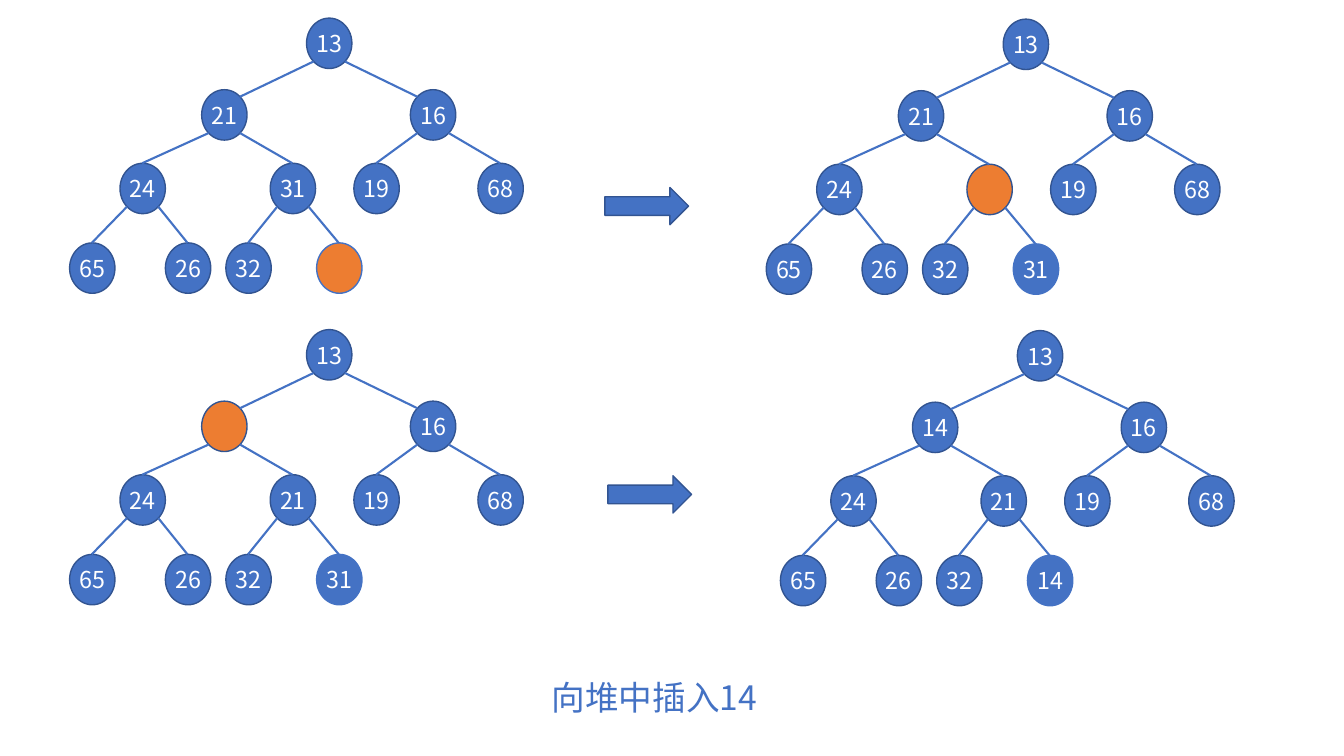
from dataclasses import dataclass

import lxml.etree
import pptx
import pptx.dml.color
import pptx.enum.shapes
import pptx.enum.text
import pptx.oxml.ns
import pptx.shapes.autoshape
import pptx.slide
import pptx.text.text
import pptx.util

PX = 9144  # EMU per px, 100 px to the inch
BLUE = pptx.dml.color.RGBColor(0x44, 0x72, 0xC4)
DARK_BLUE = pptx.dml.color.RGBColor(0x32, 0x54, 0x91)
ORANGE = pptx.dml.color.RGBColor(0xED, 0x7D, 0x31)
WHITE = pptx.dml.color.RGBColor(0xFF, 0xFF, 0xFF)
FONT = "Noto Sans CJK SC"
SHAPES = pptx.enum.shapes.MSO_SHAPE

NODE_WIDTH, NODE_HEIGHT = 45, 50
# Inset of an ellipse's diagonal points from its bounding box
DIAGONAL = 7
# Node positions relative to the root, in heap order
NODE_OFFSETS = [
    (0, 0),
    (-104, 71), (103, 71),
    (-185, 144), (-36, 144), (47, 144), (170, 144),
    (-235, 223), (-140, 223), (-80, 223), (10, 223),
]


@dataclass(frozen=True)
class Heap:
    left: int
    top: int
    values: list[int | None]  # None marks the hole


@dataclass(frozen=True)
class StepArrow:
    left: int
    top: int


HEAPS = [
    Heap(304, 18, [13, 21, 16, 24, 31, 19, 68, 65, 26, 32, None]),
    Heap(995, 19, [13, 21, 16, 24, None, 19, 68, 65, 26, 32, 31]),
    Heap(304, 327, [13, None, 16, 24, 21, 19, 68, 65, 26, 32, 31]),
    Heap(1009, 328, [13, 14, 16, 24, 21, 19, 68, 65, 26, 32, 14]),
]
STEP_ARROWS = [StepArrow(600, 186), StepArrow(603, 472)]


def px(*lengths: int) -> list[pptx.util.Emu]:
    return [pptx.util.Emu(length * PX) for length in lengths]


def write_text(
    frame: pptx.text.text.TextFrame,
    text: str,
    size: float,
    color: pptx.dml.color.RGBColor,
) -> None:
    paragraph = frame.paragraphs[0]
    paragraph.text = text
    paragraph.alignment = pptx.enum.text.PP_ALIGN.CENTER
    paragraph.font.size = pptx.util.Pt(size)
    paragraph.font.color.rgb = color
    paragraph.font.name = FONT
    # East Asian typeface for Chinese characters
    properties = paragraph._p.find(".//" + pptx.oxml.ns.qn("a:defRPr"))
    east_asian = lxml.etree.SubElement(properties, pptx.oxml.ns.qn("a:ea"))
    east_asian.set("typeface", FONT)


def add_filled_shape(
    slide: pptx.slide.Slide,
    kind: pptx.enum.shapes.MSO_SHAPE,
    bounds: tuple[int, int, int, int],
    fill: pptx.dml.color.RGBColor = BLUE,
    outline: pptx.dml.color.RGBColor = DARK_BLUE,
) -> pptx.shapes.autoshape.Shape:
    shape = slide.shapes.add_shape(kind, *px(*bounds))
    shape.shadow.inherit = False
    shape.fill.solid()
    shape.fill.fore_color.rgb = fill
    shape.line.color.rgb = outline
    shape.line.width = pptx.util.Pt(1)
    return shape


def add_node(
    slide: pptx.slide.Slide, left: int, top: int, value: int | None, is_last: bool
) -> None:
    node = add_filled_shape(
        slide,
        SHAPES.OVAL,
        (left, top, NODE_WIDTH, NODE_HEIGHT),
        ORANGE if value is None else BLUE,
        BLUE if is_last else DARK_BLUE,
    )
    if value is not None:
        frame = node.text_frame
        frame.margin_left = frame.margin_right = 0
        frame.vertical_anchor = pptx.enum.text.MSO_ANCHOR.MIDDLE
        write_text(frame, str(value), 16.6, WHITE)


def add_edge(
    slide: pptx.slide.Slide, parent: tuple[int, int], child: tuple[int, int], depth: int
) -> None:
    near, far = DIAGONAL, NODE_WIDTH - DIAGONAL
    goes_left = child[0] < parent[0]
    start_x = parent[0] + (near if goes_left else far)
    start_y = parent[1] + NODE_HEIGHT - DIAGONAL
    if depth == 1:  # the root's edges meet its children diagonally
        end_x = child[0] + (far if goes_left else near)
        end_y = child[1] + DIAGONAL
    else:
        end_x, end_y = child[0] + NODE_WIDTH // 2, child[1]
    edge = slide.shapes.add_connector(
        pptx.enum.shapes.MSO_CONNECTOR.STRAIGHT, *px(start_x, start_y, end_x, end_y)
    )
    edge.line.color.rgb = BLUE
    edge.line.width = pptx.util.Pt(1.5)
    lxml.etree.SubElement(edge._element.spPr, pptx.oxml.ns.qn("a:effectLst"))


def add_heap(slide: pptx.slide.Slide, heap: Heap) -> None:
    places = [(heap.left + x, heap.top + y) for x, y in NODE_OFFSETS]
    last = len(places) - 1
    for index, (place, value) in enumerate(zip(places, heap.values)):
        add_node(slide, *place, value, index == last)
    for index in range(1, len(places)):
        depth = (index + 1).bit_length() - 1
        add_edge(slide, places[(index - 1) // 2], places[index], depth)


def main() -> None:
    presentation = pptx.Presentation()
    presentation.slide_width, presentation.slide_height = px(1333, 750)
    slide = presentation.slides.add_slide(presentation.slide_layouts[6])

    # Heap after each step of the insertion
    for heap in HEAPS:
        add_heap(slide, heap)

    # Arrows between the steps
    for arrow in STEP_ARROWS:
        add_filled_shape(slide, SHAPES.RIGHT_ARROW, (arrow.left, arrow.top, 83, 37))

    # Caption
    caption = slide.shapes.add_textbox(*px(174, 667, 950, 50))
    caption.text_frame.word_wrap = True
    write_text(caption.text_frame, "向堆中插入14", 24, BLUE)

    presentation.save("out.pptx")


if __name__ == "__main__":
    main()
